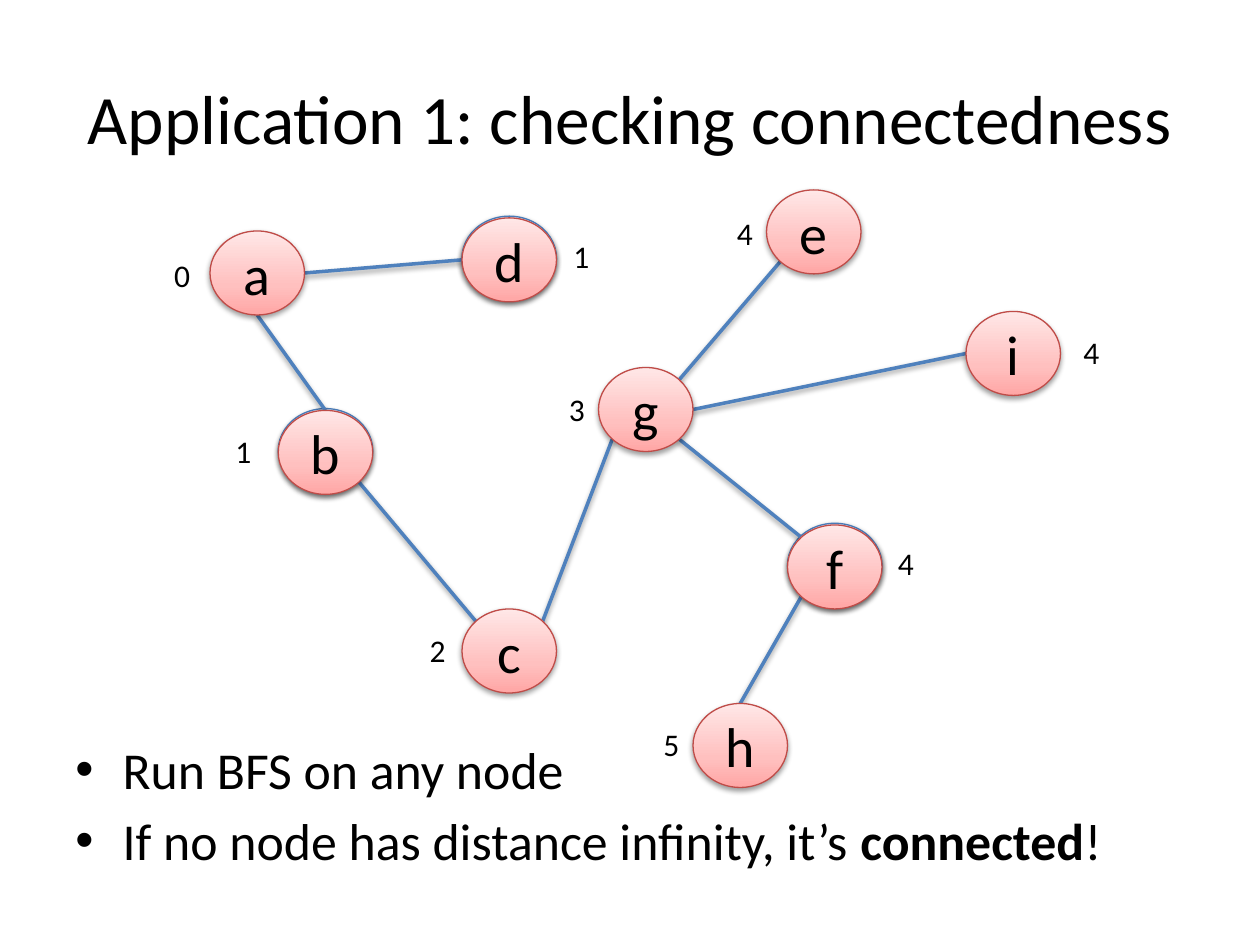
from math import sqrt

from pptx import Presentation
from pptx.dml.color import RGBColor
from pptx.enum.shapes import MSO_CONNECTOR, MSO_SHAPE
from pptx.enum.text import MSO_ANCHOR, MSO_AUTO_SIZE, PP_ALIGN
from pptx.oxml import parse_xml
from pptx.oxml.ns import nsdecls, qn
from pptx.util import Pt

ELLIPSE = MSO_SHAPE.OVAL
STRAIGHT = MSO_CONNECTOR.STRAIGHT
CENTER, LEFT = PP_ALIGN.CENTER, PP_ALIGN.LEFT
MIDDLE, TOP = MSO_ANCHOR.MIDDLE, MSO_ANCHOR.TOP
TITLE_ONLY = 5

FONT = "Calibri"
COLORS = {"text": "000000", "edge": "4F81BD", "shadow": "000000",
          "unseen line": "4B7EBC", "visited line": "BF4C48"}
# Gradient stops from the bottom of a node to its top
GRADIENTS = {
    "unseen": [(0, "A4C4FF"), (35, "BFD4FF"), (100, "E6EEFF")],
    "visited": [(0, "FFA6A5"), (35, "FFC0BF"), (100, "FFE7E7")],
}

NODE_WIDTH, NODE_HEIGHT = 54, 48
# Node: left, top
NODES = {
    "a": (120, 132), "b": (159, 234.5), "d": (264, 124.5),
    "c": (264, 348), "g": (342, 210), "e": (438, 108.5),
    "f": (450, 300), "i": (552, 178), "h": (396, 402),
}
# Nodes whose unseen state peeks out above the visited one
PEEKING = "bdf"

# Directions from a node's centre to the points where edges meet its rim
DIAGONAL = 1 / sqrt(2)
SITES = {
    "N": (0, -1), "S": (0, 1), "W": (-1, 0), "E": (1, 0),
    "NW": (-DIAGONAL, -DIAGONAL), "NE": (DIAGONAL, -DIAGONAL),
    "SW": (-DIAGONAL, DIAGONAL), "SE": (DIAGONAL, DIAGONAL),
}
EDGES = [
    ("a", "S", "b", "N"), ("a", "E", "d", "W"), ("b", "SE", "c", "NW"),
    ("c", "NE", "g", "SW"), ("g", "NE", "e", "SW"), ("g", "SE", "f", "NW"),
    ("g", "E", "i", "W"), ("f", "SW", "h", "N"),
]

# Distance from a: text, left, top
DISTANCES = [
    ("0", 92.5, 142.5), ("1", 127.5, 243.5), ("1", 320.5, 132),
    ("2", 238.5, 357), ("3", 318, 219.5), ("4", 414, 118.5),
    ("4", 612, 187), ("4", 506, 307.5), ("5", 372, 411),
]

BULLETS = [
    [("Run BFS on any node", False)],
    [("If no node has distance infinity, it’s ", False),
     ("connected", True), ("!", False)],
]


def write(para, text, size=18, bold=False, align=LEFT):
    para.alignment = align
    span = para.add_run()
    span.text = text
    span.font.name = FONT
    span.font.size = Pt(size)
    span.font.bold = bold
    span.font.color.rgb = RGBColor.from_string(COLORS["text"])


def add_soft_shadow(shape):
    properties = shape._element.spPr
    for effects in properties.findall(qn("a:effectLst")):
        properties.remove(effects)
    properties.append(parse_xml(
        f'<a:effectLst {nsdecls("a")}>'
        '<a:outerShdw blurRad="40000" dist="20000" dir="5400000" rotWithShape="0">'
        f'<a:srgbClr val="{COLORS["shadow"]}"><a:alpha val="38000"/></a:srgbClr>'
        '</a:outerShdw></a:effectLst>'))


def fill_gradient(shape, stops):
    shape.fill.gradient()
    shape.fill.gradient_angle = 90
    gradient = shape._element.spPr.find(qn("a:gradFill"))
    old_stops = gradient.find(qn("a:gsLst"))
    new_stops = "".join(
        f'<a:gs pos="{position * 1000}"><a:srgbClr val="{color}"/></a:gs>'
        for position, color in stops)
    gradient.replace(old_stops, parse_xml(
        f'<a:gsLst {nsdecls("a")}>{new_stops}</a:gsLst>'))


def add_node(page, left, top, state, name=""):
    node = page.shapes.add_shape(
        ELLIPSE, Pt(left), Pt(top), Pt(NODE_WIDTH), Pt(NODE_HEIGHT))
    fill_gradient(node, GRADIENTS[state])
    node.line.color.rgb = RGBColor.from_string(COLORS[state + " line"])
    node.line.width = Pt(0.75)
    add_soft_shadow(node)
    if name:
        node.text_frame.vertical_anchor = MIDDLE
        write(node.text_frame.paragraphs[0], name, size=32, align=CENTER)


def rim_point(name, site):
    left, top = NODES[name]
    across, down = SITES[site]
    return (Pt(left + NODE_WIDTH / 2 * (1 + across)),
            Pt(top + NODE_HEIGHT / 2 * (1 + down)))


def add_edge(page, start, start_site, end, end_site):
    edge = page.shapes.add_connector(
        STRAIGHT, *rim_point(start, start_site), *rim_point(end, end_site))
    edge.line.color.rgb = RGBColor.from_string(COLORS["edge"])
    edge.line.width = Pt(2)
    add_soft_shadow(edge)


def add_distance(page, text, left, top):
    box = page.shapes.add_textbox(Pt(left), Pt(top), Pt(23.75), Pt(29))
    box.text_frame.word_wrap = False
    box.text_frame.auto_size = MSO_AUTO_SIZE.SHAPE_TO_FIT_TEXT
    write(box.text_frame.paragraphs[0], text, size=18)


def add_title(page, text):
    title = page.shapes.title
    title.left, title.top, title.width, title.height = (
        Pt(36), Pt(21.6), Pt(648), Pt(90))
    title.text_frame.vertical_anchor = MIDDLE
    title.text_frame.auto_size = MSO_AUTO_SIZE.NONE
    write(title.text_frame.paragraphs[0], text, size=39.6, align=CENTER)


def add_bullets(page, items):
    box = page.shapes.add_textbox(Pt(36), Pt(418), Pt(648), Pt(90))
    frame = box.text_frame
    frame.word_wrap = True
    frame.vertical_anchor = TOP
    for index, spans in enumerate(items):
        para = frame.add_paragraph() if index else frame.paragraphs[0]
        para.space_after = Pt(5)
        for text, bold in spans:
            write(para, text, size=29.6, bold=bold)
        properties = para._p.get_or_add_pPr()
        properties.set("marL", str(Pt(27)))
        properties.set("indent", str(-Pt(27)))
        properties.append(parse_xml(
            f'<a:buFont {nsdecls("a")} typeface="Arial"/>'))
        properties.append(parse_xml(f'<a:buChar {nsdecls("a")} char="•"/>'))


def main():
    deck = Presentation()
    deck.slide_width, deck.slide_height = Pt(720), Pt(540)
    page = deck.slides.add_slide(deck.slide_layouts[TITLE_ONLY])

    add_title(page, "Application 1: checking connectedness")
    add_bullets(page, BULLETS)

    # Graph: unseen rims, then edges, then visited nodes
    for name in PEEKING:
        left, top = NODES[name]
        add_node(page, left, top - 1, "unseen")
    for edge in EDGES:
        add_edge(page, *edge)
    for name, (left, top) in NODES.items():
        add_node(page, left, top, "visited", name)

    # Distances beside the nodes
    for distance in DISTANCES:
        add_distance(page, *distance)

    deck.save("out.pptx")


if __name__ == "__main__":
    main()
